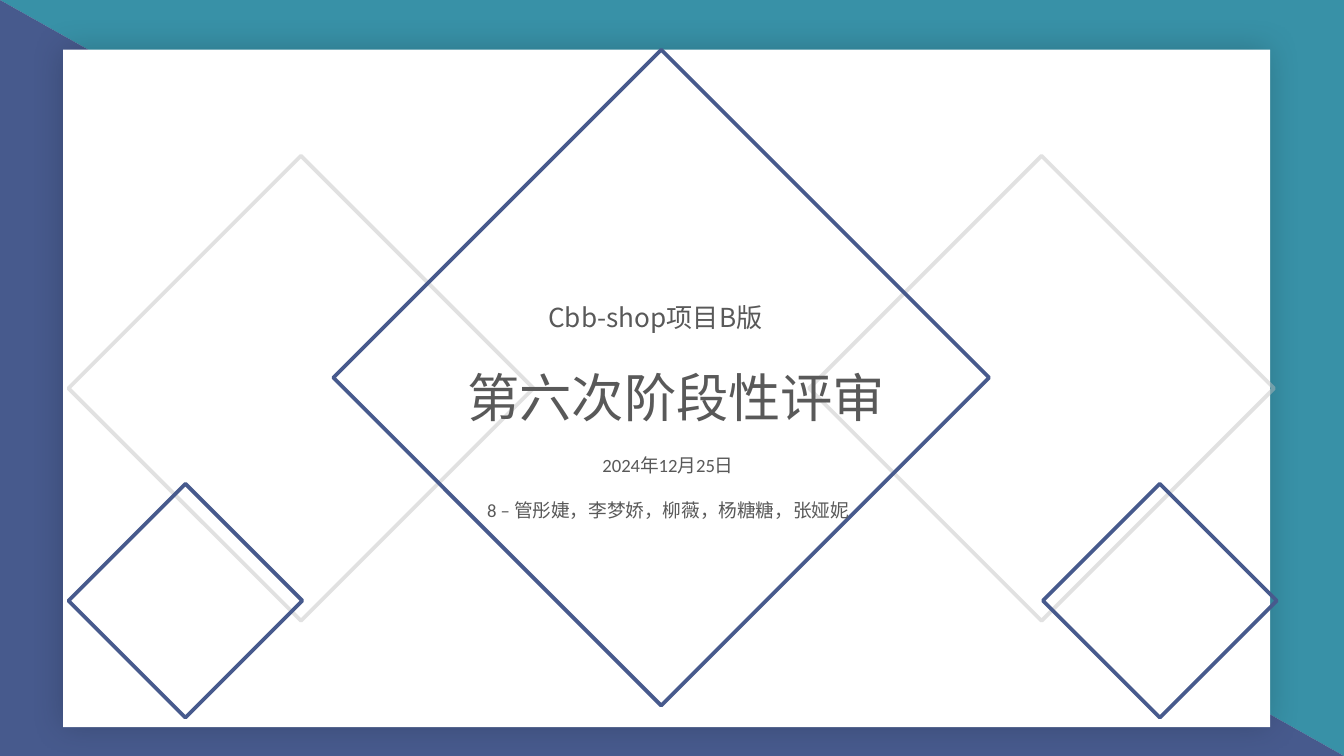
from lxml import etree
from pptx import Presentation
from pptx.dml.color import RGBColor
from pptx.enum.shapes import MSO_SHAPE
from pptx.enum.text import MSO_AUTO_SIZE, PP_ALIGN
from pptx.oxml import parse_xml
from pptx.oxml.ns import nsdecls, qn
from pptx.util import Inches, Pt

TRIANGLE, RECT, DIAMOND = MSO_SHAPE.RIGHT_TRIANGLE, MSO_SHAPE.RECTANGLE, MSO_SHAPE.DIAMOND
LEFT, CENTER = PP_ALIGN.LEFT, PP_ALIGN.CENTER
FIT_SHAPE = MSO_AUTO_SIZE.SHAPE_TO_FIT_TEXT
CJK, LATIN = "Noto Sans CJK SC", "Calibri"
COLORS = {"back": "F2F2F2", "teal": "3891A7", "navy": "475A8D",
          "panel": "FFFFFF", "pale": "BFBFBF", "text": "595959"}
W = 10
H = W * 9 / 16


def add_text(lines, box, size, font, align=LEFT, wrap=True, gap=0):
    """Add a text box with one paragraph per line, gap points apart."""
    tf = s.shapes.add_textbox(*map(Inches, box)).text_frame
    tf.word_wrap = wrap
    tf.auto_size = FIT_SHAPE
    for i, line in enumerate(lines):
        p = tf.paragraphs[0] if i == 0 else tf.add_paragraph()
        p.alignment = align
        if i:
            p.space_before = Pt(gap)
        r = p.add_run()
        r.text = line
        r.font.size = Pt(size)
        r.font.name = font
        r.font.color.rgb = color("text")
        etree.SubElement(r.font._element, qn("a:ea"), typeface=font)


def color(name):
    return RGBColor.from_string(COLORS[name])


prs = Presentation()
prs.slide_width, prs.slide_height = Inches(W), Inches(H)
s = prs.slides.add_slide(prs.slide_layouts[6])
s.background.fill.solid()
s.background.fill.fore_color.rgb = color("back")

# Two-colour backdrop and white panel
for kind, box, fill, rotation in [
    (TRIANGLE, (0, 0, W, H), "teal", 180),
    (TRIANGLE, (0, 0, W, H), "navy", 0),
    (RECT, (0.47, 0.37, 8.98, 5.04), "panel", 0),
]:
    sp = s.shapes.add_shape(kind, *map(Inches, box))
    sp.shadow.inherit = False
    sp.rotation = rotation
    sp.fill.solid()
    sp.fill.fore_color.rgb = color(fill)
    sp.line.fill.background()

# Soft shadow around the panel, the last shape added
effects = sp._element.spPr.find(qn("a:effectLst"))
effects.append(parse_xml(
    f'<a:outerShdw {nsdecls("a")} blurRad="{Pt(17)}" dist="0" dir="0" algn="ctr" rotWithShape="0">'
    '<a:srgbClr val="000000"><a:alpha val="18000"/></a:srgbClr></a:outerShdw>'))

add_text(["Cbb-shop项目B版"], (3.98, 2.19, 5.28, 0.34), 14, CJK)

# Outlined diamonds: left, top, side, colour, opacity in percent
for left, top, side, line, opacity in [
    (6.02, 1.16, 3.46, "pale", 45),
    (0.51, 1.16, 3.46, "pale", 45),
    (2.48, 0.37, 4.88, "navy", 100),
    (7.76, 3.6, 1.74, "navy", 100),
    (0.51, 3.6, 1.74, "navy", 100),
]:
    sp = s.shapes.add_shape(DIAMOND, *map(Inches, (left, top, side, side)))
    sp.shadow.inherit = False
    sp.fill.background()
    sp.line.width = Pt(2)
    sp.line.color.rgb = color(line)
    ln = sp._element.spPr.find(qn("a:ln"))
    etree.SubElement(ln, qn("a:round"))
    if opacity < 100:
        etree.SubElement(ln.find(".//" + qn("a:srgbClr")), qn("a:alpha"), val=str(opacity * 1000))

add_text(["第六次阶段性评审"], (3.38, 2.67, 3.4, 0.57), 28, CJK, wrap=False)
add_text(["2024年12月25日", "8 – 管彤婕，李梦娇，柳薇，杨糖糖，张娅妮"],
         (2.37, 3.33, 5.2, 0.61), 10, LATIN, align=CENTER, gap=12)

prs.save("out.pptx")
